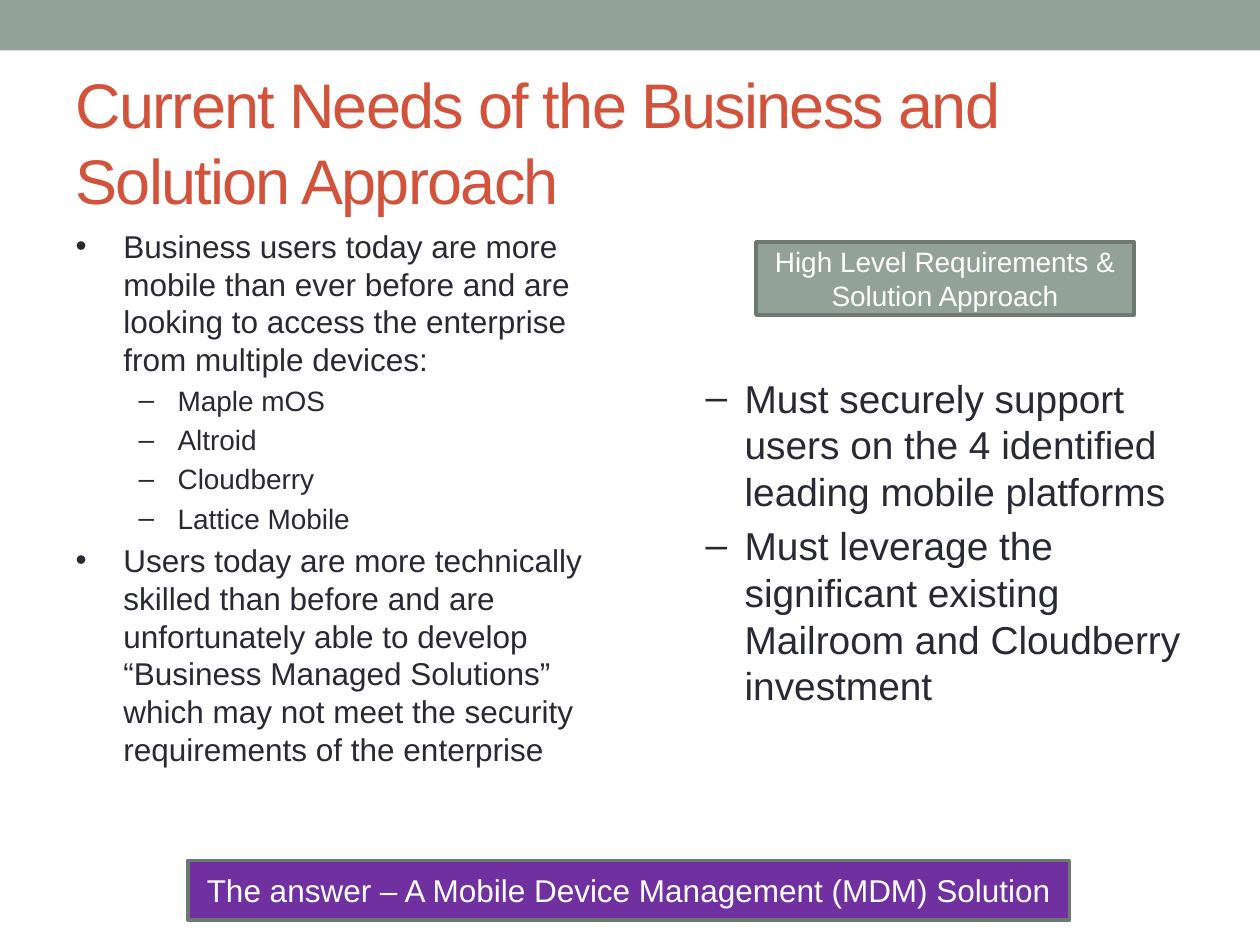
"""Build the slide on current business needs and the solution approach."""
from pptx import Presentation
from pptx.dml.color import RGBColor
from pptx.enum.shapes import MSO_SHAPE
from pptx.enum.text import MSO_ANCHOR, MSO_AUTO_SIZE, PP_ALIGN
from pptx.util import Inches, Pt

RECTANGLE = MSO_SHAPE.RECTANGLE
TOP, MIDDLE = MSO_ANCHOR.TOP, MSO_ANCHOR.MIDDLE
LEFT, CENTER = PP_ALIGN.LEFT, PP_ALIGN.CENTER
NO_AUTOFIT = MSO_AUTO_SIZE.NONE

SAGE, DARK_SAGE, PURPLE = "93A299", "6D7871", "7030A0"
RED, INK, WHITE = "D2533C", "292934", "FFFFFF"
INDENTS = [(0.38, -0.38), (0.81, -0.31)]


def color(value):
    """Return the colour for a hex string."""
    return RGBColor.from_string(value)


def write_text(shape, lines, text_color, alignment, anchor):
    """Fill a shape with (text, level, size) lines and return its paragraphs."""
    frame = shape.text_frame
    frame_format = {"word_wrap": True, "auto_size": NO_AUTOFIT, "vertical_anchor": anchor}
    for name, value in frame_format.items():
        setattr(frame, name, value)
    frame.text = "\n".join(text for text, level, size in lines)
    for paragraph, (text, level, size) in zip(frame.paragraphs, lines):
        paragraph.level = level
        paragraph.alignment = alignment
        font = paragraph.runs[0].font
        for name, value in {"name": "Arial", "size": Pt(size)}.items():
            setattr(font, name, value)
        font.color.rgb = color(text_color)
    return frame.paragraphs


presentation = Presentation()
presentation.slide_width, presentation.slide_height = Inches(10), Inches(7.5)
slide = presentation.slides.add_slide(presentation.slide_layouts[3])
title, needs, requirements = slide.placeholders

placements = [
    (title, 0.5, 0.58, 9, 1.08),
    (needs, 0.5, 1.75, 4.5, 4.95),
    (requirements, 5, 2.92, 4.5, 3),
]
for shape, *box in placements:
    for name, value in zip(("left", "top", "width", "height"), box):
        setattr(shape, name, Inches(value))

title_lines = [("Current Needs of the Business and Solution Approach", 0, 36)]
for paragraph in write_text(title, title_lines, RED, LEFT, MIDDLE):
    paragraph.runs[0].font._element.set("spc", "-100")

platforms = ["Maple mOS", "Altroid", "Cloudberry", "Lattice Mobile"]
needs_lines = [
    ("Business users today are more mobile than ever before and are looking "
     "to access the enterprise from multiple devices:", 0, 18),
    *[(platform, 1, 16) for platform in platforms],
    ("Users today are more technically skilled than before and are unfortunately "
     "able to develop “Business Managed Solutions” which may not meet the security "
     "requirements of the enterprise", 0, 18),
]
requirement_lines = [
    ("Must securely support users on the 4 identified leading mobile platforms", 1, 22.2),
    ("Must leverage the significant existing Mailroom and Cloudberry investment", 1, 22.2),
]
for shape, lines in [(needs, needs_lines), (requirements, requirement_lines)]:
    for paragraph in write_text(shape, lines, INK, LEFT, TOP):
        margin, indent = INDENTS[paragraph.level]
        properties = paragraph._p.get_or_add_pPr()
        properties.set("marL", str(Inches(margin)))
        properties.set("indent", str(Inches(indent)))

boxes = [
    ((0, 0, 10, 0.4), SAGE, None, []),
    ((6, 1.92, 3, 0.58), SAGE, DARK_SAGE,
     [("High Level Requirements &", 0, 16), ("Solution Approach", 0, 16)]),
    ((1.49, 6.83, 7, 0.47), PURPLE, DARK_SAGE,
     [("The answer – A Mobile Device Management (MDM) Solution", 0, 18)]),
]
for box, fill, outline, lines in boxes:
    shape = slide.shapes.add_shape(RECTANGLE, *map(Inches, box))
    shape.shadow.inherit = False
    shape.fill.solid()
    shape.fill.fore_color.rgb = color(fill)
    if outline:
        shape.line.color.rgb = color(outline)
        shape.line.width = Pt(2.08)
    else:
        shape.line.fill.background()
    if lines:
        write_text(shape, lines, WHITE, CENTER, MIDDLE)

presentation.save("out.pptx")
